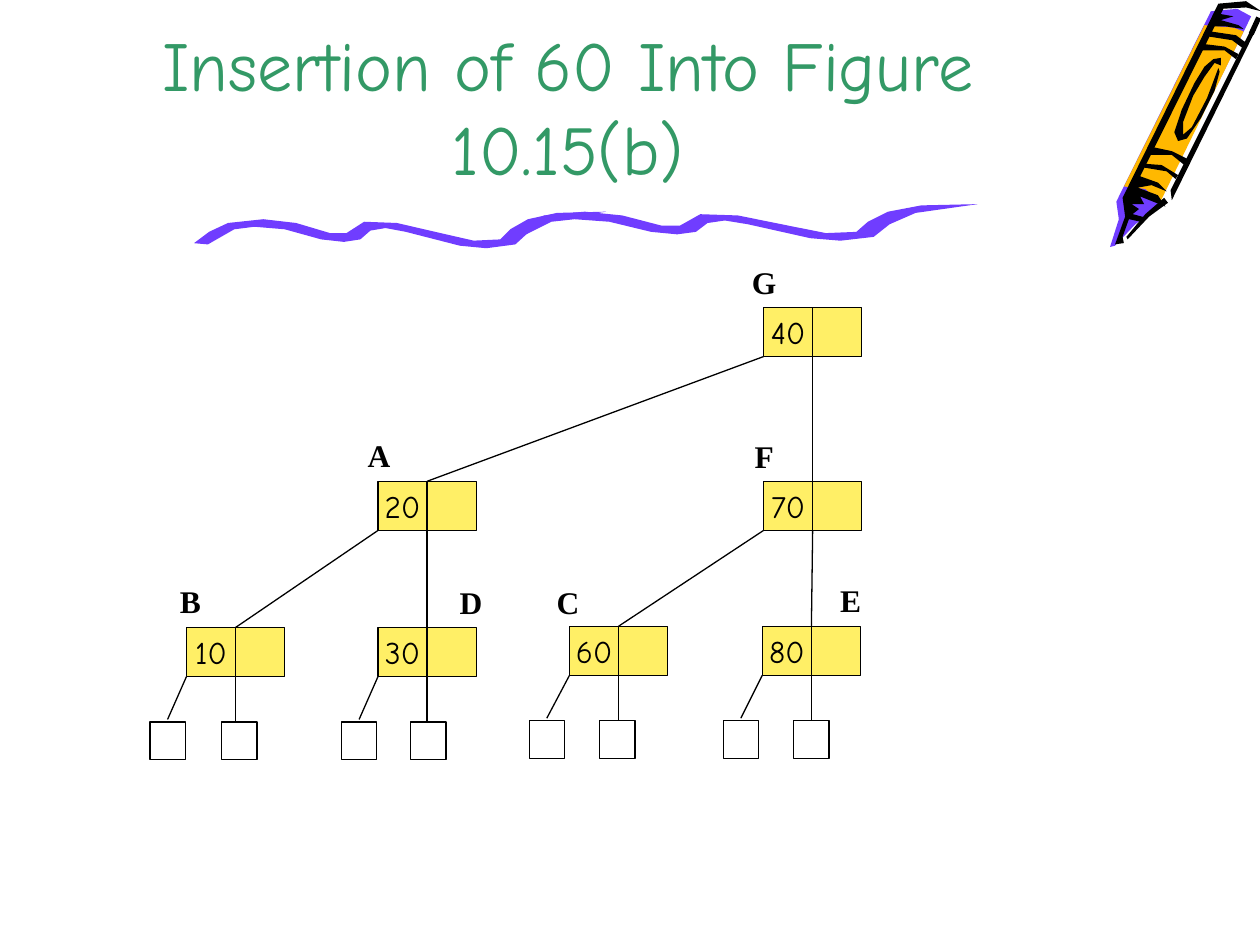
import pptx
import pptx.util
import pptx.dml.color
import pptx.enum.shapes
import pptx.enum.text
import pptx.oxml.ns
import lxml.etree

Inches, Pt = pptx.util.Inches, pptx.util.Pt
ALIGN, ANCHOR = pptx.enum.text.PP_ALIGN, pptx.enum.text.MSO_ANCHOR
RECT = pptx.enum.shapes.MSO_SHAPE.RECTANGLE
STRAIGHT = pptx.enum.shapes.MSO_CONNECTOR.STRAIGHT

BLACK, PURPLE, ORANGE = "000000", "703DFF", "FFB800"
YELLOW, GREEN = "FFEF66", "339966"
CELL = 0.39          # side of one half of a node
LEAF_W, LEAF_H = 0.28, 0.3
LEAF_DROP = 0.75     # node top to leaf top

# Crayon outlines, in hundredths of an inch from the corner of its box
CRAYON = [
    (PURPLE, [(113, 13), (37, 166), (21, 178), (5, 195), (1, 196), (8, 174), (6, 160),
              (81, 9), (102, 7)]),
    (ORANGE, [(41, 160), (29, 150), (12, 148), (76, 20), (99, 22), (107, 25)]),
    (BLACK, [(47, 161), (32, 172), (15, 190), (14, 188), (29, 170), (44, 157)]),
    (BLACK, [(107, 23), (93, 21), (81, 21), (88, 11), (99, 13), (89, 16), (103, 20)]),
    (BLACK, [(88, 57), (84, 72), (73, 94), (62, 110), (55, 112), (52, 105), (58, 87),
             (68, 66), (76, 53), (83, 47), (89, 46), (89, 52), (84, 50), (76, 61),
             (67, 76), (59, 97), (59, 107), (66, 101), (78, 78), (87, 54)]),
    (BLACK, [(117, 23), (50, 159), (49, 151), (113, 23)]),
    (BLACK, [(45, 164), (39, 155), (23, 149), (34, 147), (46, 152), (39, 145), (25, 140),
             (91, 7), (109, 6), (121, 9), (109, 1), (87, 3), (11, 157), (13, 172),
             (5, 194), (12, 193), (11, 188), (16, 174), (25, 176), (30, 173), (19, 170),
             (24, 166), (18, 162), (28, 162), (25, 156)]),
    (BLACK, [(53, 142), (46, 136), (28, 133), (29, 130), (42, 131), (55, 139)]),
    (BLACK, [(60, 131), (50, 123), (33, 123), (36, 117), (50, 120), (62, 126)]),
    (BLACK, [(101, 47), (92, 40), (73, 40), (76, 35), (92, 37), (103, 43)]),
    (BLACK, [(106, 38), (98, 32), (79, 29), (81, 25), (101, 28), (109, 34)]),
]

# One stroke of the wavy rule, 327 hundredths wide
WAVE_WIDTH = 327
WAVE = [(11, 26), (32, 14), (48, 12), (72, 14), (101, 22), (119, 24), (132, 22), (140, 15),
        (152, 13), (168, 16), (211, 27), (232, 29), (255, 26), (266, 16), (284, 7), (327, 0),
        (288, 1), (265, 6), (251, 14), (243, 22), (222, 23), (200, 18), (161, 9), (135, 8),
        (121, 17), (108, 17), (81, 9), (55, 6), (27, 9), (12, 16), (0, 25)]

# name: left, top, key, label offset, offsets of the two leaves
NODES = {
    "G": (6.06, 2.44, "40", (-0.19, -0.4), ()),
    "A": (3, 3.82, "20", (-0.18, -0.41), ()),
    "F": (6.06, 3.82, "70", (-0.17, -0.4), ()),
    "B": (1.48, 4.98, "10", (-0.15, -0.41), (-0.29, 0.28)),
    "D": (3, 4.98, "30", (0.55, -0.4), (-0.29, 0.26)),
    "C": (4.52, 4.97, "60", (-0.2, -0.39), (-0.32, 0.24)),
    "E": (6.05, 4.97, "80", (0.52, -0.41), (-0.31, 0.25)),
}
CHILDREN = {"G": "AF", "A": "BD", "F": "CE"}


def color(value):
    return pptx.dml.color.RGBColor.from_string(value)


def add_line(s, x1, y1, x2, y2, width=0.75):
    ln = s.shapes.add_connector(STRAIGHT, Inches(x1), Inches(y1), Inches(x2), Inches(y2))
    ln.line.color.rgb = color(BLACK)
    ln.line.width = Pt(width)
    lxml.etree.SubElement(ln._element.spPr, pptx.oxml.ns.qn("a:effectLst"))


def add_outline(s, left, top, points, fill, x_scale=1):
    pts = [(Inches(left + x * x_scale / 100), Inches(top + y / 100)) for x, y in points]
    fb = s.shapes.build_freeform(*pts[0], scale=1.0)
    fb.add_line_segments(pts[1:], close=True)
    sp = fb.convert_to_shape()
    sp.shadow.inherit = False
    sp.fill.solid()
    sp.fill.fore_color.rgb = color(fill)
    sp.line.fill.background()


def add_rect(s, left, top, width, height, fill=None):
    sp = s.shapes.add_shape(RECT, Inches(left), Inches(top), Inches(width), Inches(height))
    sp.shadow.inherit = False
    if fill:
        sp.fill.solid()
        sp.fill.fore_color.rgb = color(fill)
    else:
        sp.fill.background()
    sp.line.color.rgb = color(BLACK)
    sp.line.width = Pt(0.75)
    return sp


def set_text(sp, text, size, font, fill, align=ALIGN.LEFT, anchor=ANCHOR.TOP, bold=False, wrap=True):
    tf = sp.text_frame
    tf.text = text
    tf.word_wrap = wrap
    tf.vertical_anchor = anchor
    p = tf.paragraphs[0]
    p.alignment = align
    r = p.runs[0]
    r.font.size, r.font.name, r.font.bold = Pt(size), font, bold
    r.font.color.rgb = color(fill)


def add_text_box(s, left, top, width, height, *args, **kwargs):
    sp = s.shapes.add_textbox(Inches(left), Inches(top), Inches(width), Inches(height))
    set_text(sp, *args, **kwargs)


def draw_crayon(s, left, top):
    for fill, points in CRAYON:
        add_outline(s, left, top, points, fill)
    add_line(s, left + 1.19, top + 0.14, left + 1.13, top + 0.27, width=3)


def draw_wave(s, left, top, width):
    add_outline(s, left, top, WAVE, PURPLE, x_scale=width * 100 / WAVE_WIDTH)


def draw_node(s, name, left, top, key, label_offset, leaf_offsets):
    # Two cells, the first holding the key
    sp = add_rect(s, left, top, CELL, CELL, YELLOW)
    set_text(sp, key, 18, "Comic Neue", BLACK, ALIGN.CENTER, ANCHOR.MIDDLE, wrap=False)
    add_rect(s, left + CELL, top, CELL, CELL, YELLOW)
    dx, dy = label_offset
    add_text_box(s, left + dx, top + dy, 0.43, 0.4, name, 18, "Times New Roman", BLACK, bold=True)
    # Empty leaves and their edges
    if leaf_offsets:
        leaf_top = top + LEAF_DROP
        for offset in leaf_offsets:
            add_rect(s, left + offset, leaf_top, LEAF_W, LEAF_H)
        add_line(s, left, top + CELL, left + leaf_offsets[0] + LEAF_W / 2, leaf_top - 0.02)
        add_line(s, left + CELL, top + CELL, left + CELL, leaf_top)


def draw_tree(s):
    for name, node in NODES.items():
        draw_node(s, name, *node)
    # Left edges leave the corner of the parent, right edges its middle
    for parent, children in CHILDREN.items():
        left, top = NODES[parent][:2]
        for start, child in zip((left, left + CELL), children):
            child_left, child_top = NODES[child][:2]
            add_line(s, start, top + CELL, child_left + CELL, child_top)


def main():
    prs = pptx.Presentation()
    prs.slide_width, prs.slide_height = Inches(10), Inches(7.5)
    s = prs.slides.add_slide(prs.slide_layouts[6])
    draw_crayon(s, 8.8, 0)
    draw_wave(s, 1.54, 1.68, 3.27)
    draw_wave(s, 4.01, 1.62, 3.75)
    add_text_box(s, 0.75, 0, 7.51, 1.55, "Insertion of 60 Into Figure 10.15(b)", 40,
                 "Comic Neue", GREEN, ALIGN.CENTER, ANCHOR.BOTTOM)
    draw_tree(s)
    prs.save("out.pptx")


if __name__ == "__main__":
    main()
